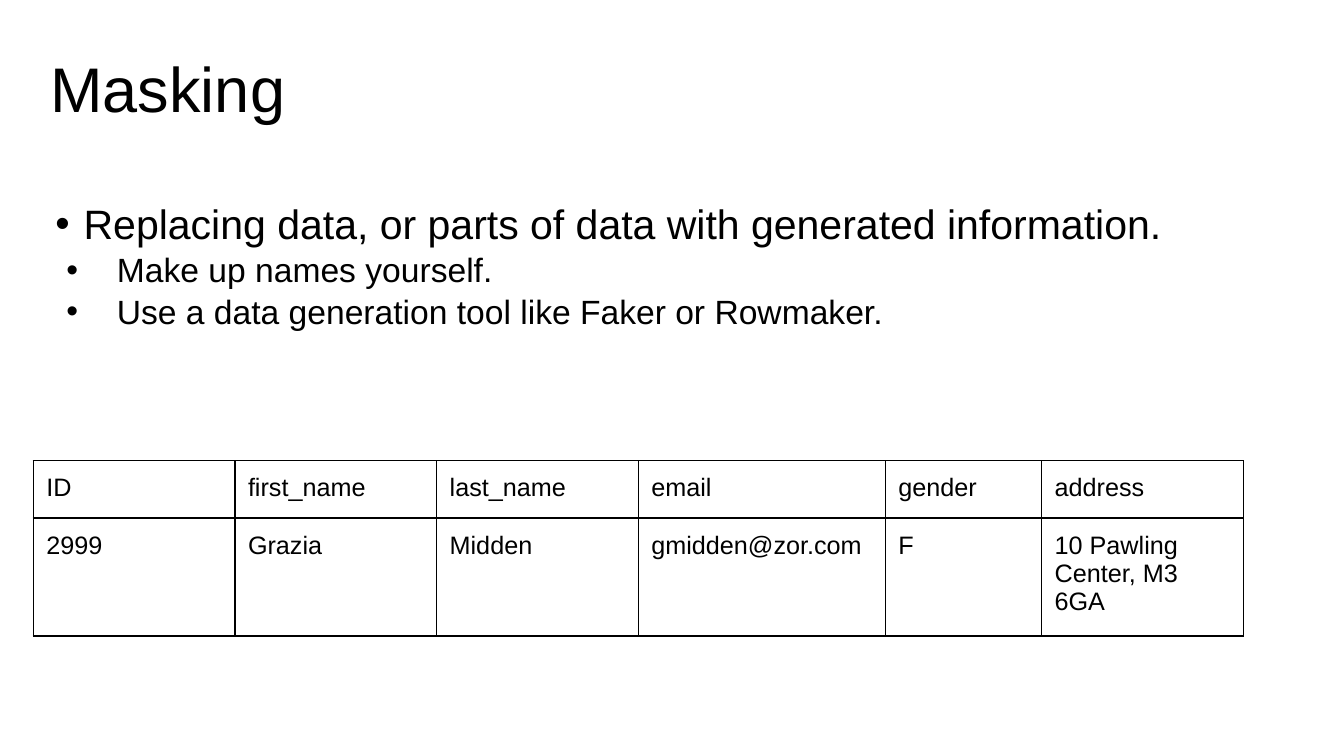
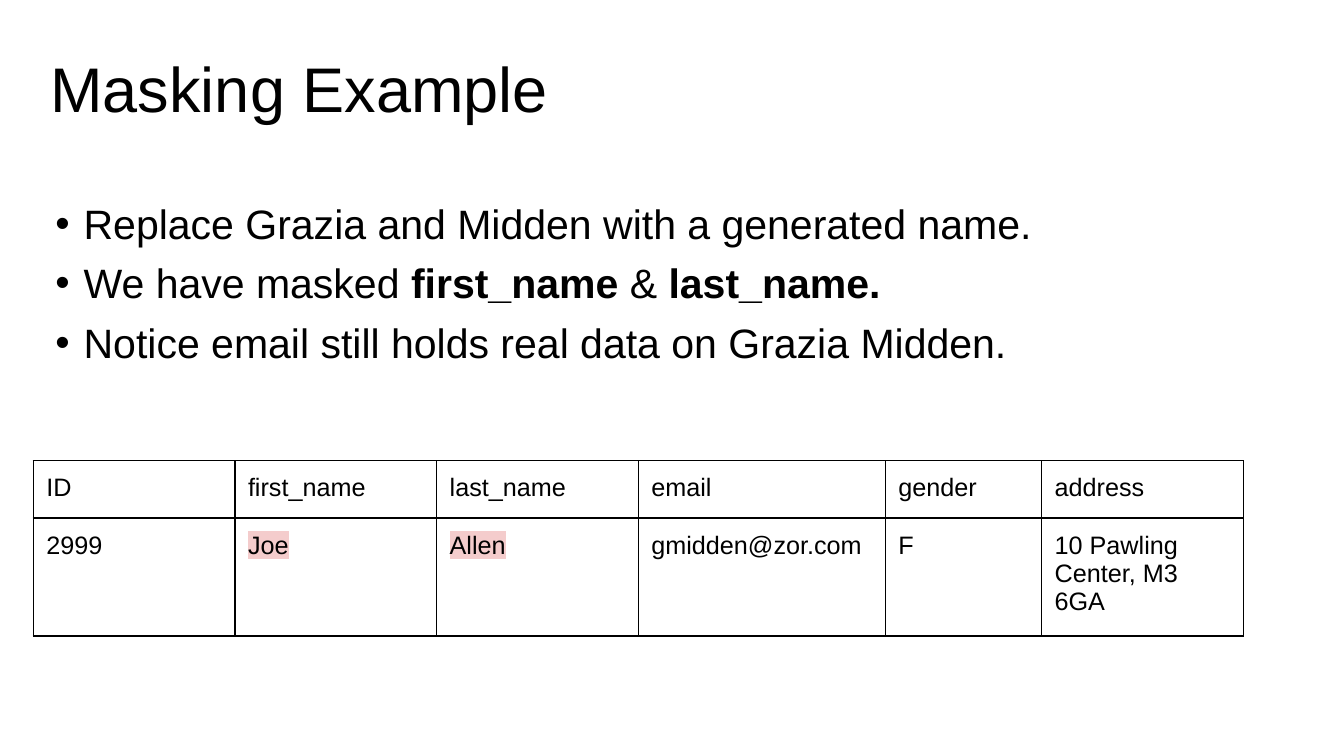
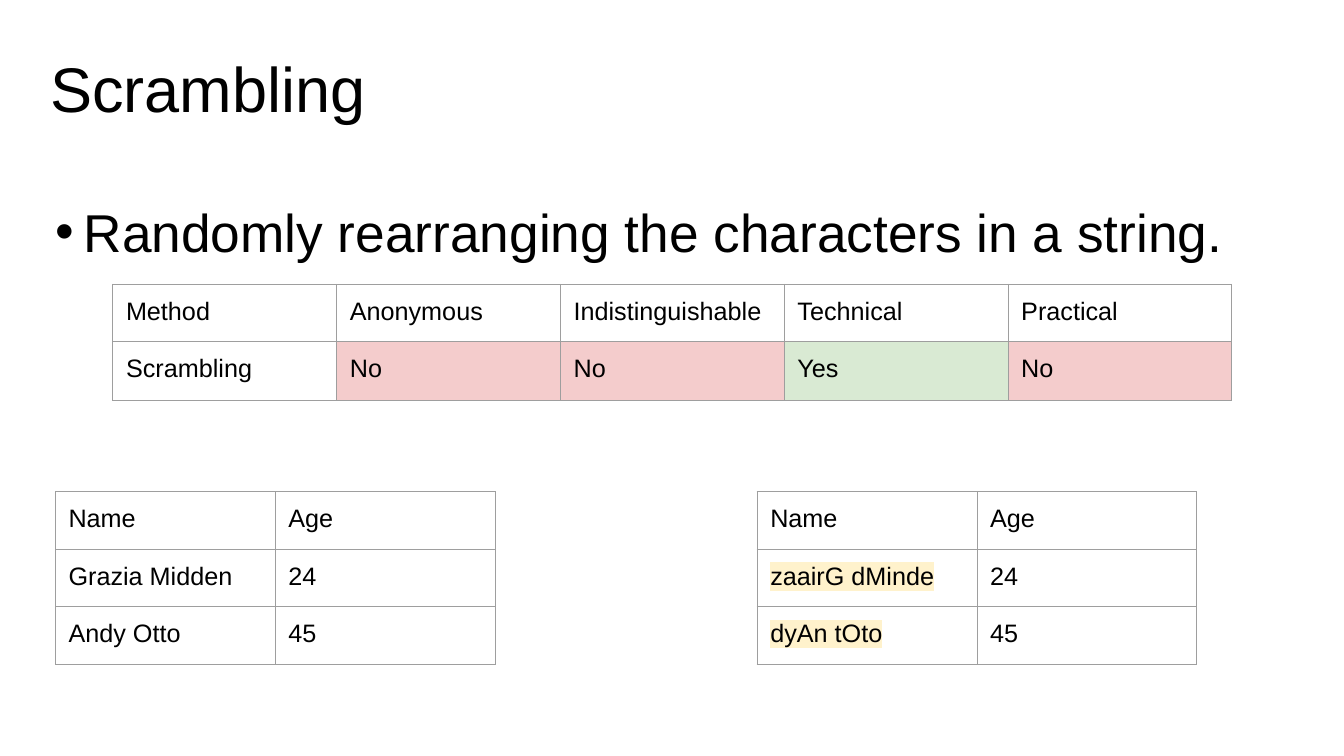
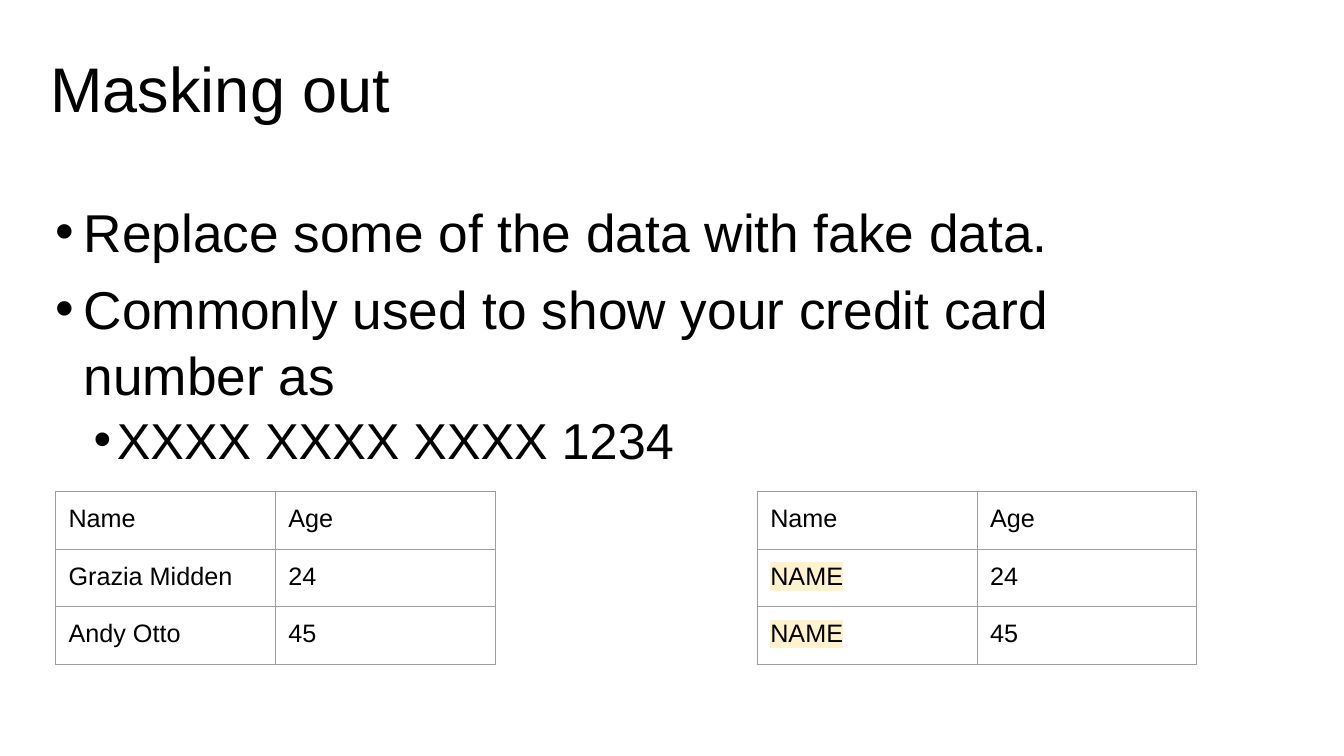
"""Build four slides on masking, scrambling and masking out data."""
from dataclasses import dataclass

import lxml.etree
import pptx
import pptx.dml.color
import pptx.enum.text
import pptx.oxml.ns
import pptx.util

Inches = pptx.util.Inches
Pt = pptx.util.Pt
qn = pptx.oxml.ns.qn


@dataclass(frozen=True)
class Theme:
    font: str = "Arial"
    ink: str = "000000"
    grid: str = "9E9E9E"
    red: str = "F4CCCC"
    green: str = "D9EAD3"
    yellow: str = "FFF2CC"
    title_size: float = 45
    large_size: float = 38
    large_sub_size: float = 36
    body_size: float = 29.3
    sub_size: float = 24
    cell_size: float = 18
    line_spacing: float = 1.04
    space_before: float = 0.2
    inset: float = 0.13


@dataclass(frozen=True)
class Span:
    text: str
    bold: bool = False
    highlight: str = ""


@dataclass(frozen=True)
class Shaded:
    text: str
    fill: str


@dataclass(frozen=True)
class Bullet:
    spans: tuple
    size: float
    hanging: float
    sub: bool = False


THEME = Theme()


def rgb(value):
    return pptx.dml.color.RGBColor.from_string(value)


class SlideWriter:
    def __init__(self, deck, theme):
        self.deck = deck
        self.theme = theme
        self.slide = None

    def start(self, title):
        self.slide = self.deck.slides.add_slide(self.deck.slide_layouts[6])
        frame = self.text_box(0.37, 0.29, 12, 1.25, 0.2)
        self.add_span(frame.paragraphs[0], Span(title), self.theme.title_size)

    def text_box(self, left, top, width, height, top_inset):
        box = self.slide.shapes.add_textbox(
            Inches(left), Inches(top), Inches(width), Inches(height))
        frame = box.text_frame
        frame.word_wrap = True
        frame.auto_size = pptx.enum.text.MSO_AUTO_SIZE.NONE
        self.set_margins(frame)
        frame.margin_top = Inches(top_inset)
        return frame

    def set_margins(self, holder):
        inset = Inches(self.theme.inset)
        holder.margin_left = holder.margin_right = inset
        holder.margin_top = holder.margin_bottom = inset

    def add_span(self, para, span, size):
        run = para.add_run()
        run.text = span.text
        font = run.font
        font.name = self.theme.font
        font.size = Pt(size)
        font.bold = span.bold
        font.color.rgb = rgb(self.theme.ink)
        if span.highlight:
            properties = run._r.get_or_add_rPr()
            highlight = lxml.etree.Element(qn("a:highlight"))
            color = lxml.etree.SubElement(highlight, qn("a:srgbClr"))
            color.set("val", span.highlight)
            properties.find(qn("a:solidFill")).addnext(highlight)

    def bullets(self, *items):
        frame = self.text_box(0.42, 1.8, 12, 5.62, 0.15)
        for index, item in enumerate(items):
            para = frame.add_paragraph() if index else frame.paragraphs[0]
            para.line_spacing = self.theme.line_spacing
            if index and not item.sub:
                para.space_before = Pt(round(item.size * self.theme.space_before, 1))
            para.level = int(item.sub)
            properties = para._p.get_or_add_pPr()
            properties.set("marL", str(Inches(0.61 if item.sub else 0.28)))
            properties.set("indent", str(-Inches(item.hanging)))
            lxml.etree.SubElement(properties, qn("a:buFont")).set("typeface", self.theme.font)
            lxml.etree.SubElement(properties, qn("a:buChar")).set("char", "•")
            for span in item.spans:
                self.add_span(para, span, item.size)

    def table(self, left, top, widths, heights, rows, line_color, line_width):
        frame = self.slide.shapes.add_table(
            len(heights), len(widths), Inches(left), Inches(top),
            Inches(sum(widths)), Inches(sum(heights)))
        table = frame.table
        table.first_row = table.horz_banding = False
        for column, width in zip(table.columns, widths):
            column.width = Inches(width)
        for row, height, values in zip(table.rows, heights, rows):
            row.height = Inches(height)
            for cell, value in zip(row.cells, values):
                self.fill_cell(cell, value)
                self.cell_borders(cell, line_color, line_width)

    def fill_cell(self, cell, value):
        self.set_margins(cell)
        if isinstance(value, Shaded):
            cell.fill.solid()
            cell.fill.fore_color.rgb = rgb(value.fill)
        else:
            cell.fill.background()
        span = value if isinstance(value, Span) else Span(getattr(value, "text", value))
        self.add_span(cell.text_frame.paragraphs[0], span, self.theme.cell_size)

    def cell_borders(self, cell, color, width):
        properties = cell._tc.get_or_add_tcPr()
        for index, side in enumerate(("lnL", "lnR", "lnT", "lnB")):
            line = lxml.etree.Element(qn("a:" + side), w=str(Pt(width)))
            fill = lxml.etree.SubElement(line, qn("a:solidFill"))
            lxml.etree.SubElement(fill, qn("a:srgbClr")).set("val", color)
            properties.insert(index, line)

    def person_table(self, first_name, last_name):
        header = ("ID", "first_name", "last_name", "email", "gender", "address")
        person = ("2999", first_name, last_name, "gmidden@zor.com", "F",
                  "10 Pawling Center, M3 6GA")
        self.table(0.33, 4.57, (2, 2, 2, 2.45, 1.55, 2), (0.57, 1.17),
                   (header, person), self.theme.ink, 1)

    def age_tables(self, *changed_names):
        changed = [Span(name, highlight=self.theme.yellow) for name in changed_names]
        for left, names in ((0.55, ("Grazia Midden", "Andy Otto")), (7.51, changed)):
            rows = [("Name", "Age"), *zip(names, ("24", "45"))]
            self.table(left, 4.88, (2.18,) * 2, (0.57,) * 3, rows, self.theme.grid, 0.75)

    def method_table(self, method, *answers):
        header = ("Method", "Anonymous", "Indistinguishable", "Technical", "Practical")
        fills = {"Yes": self.theme.green, "No": self.theme.red}
        ratings = [Shaded(answer, fills[answer]) for answer in answers]
        self.table(1.12, 2.82, (2.22,) * 5, (0.57, 0.58),
                   (header, (method, *ratings)), self.theme.grid, 0.75)


def point(*spans):
    return Bullet(spans, THEME.body_size, 0.54)


def sub_point(text):
    return Bullet((Span(text),), THEME.sub_size, 0.5, True)


def large_point(text):
    return Bullet((Span(text),), THEME.large_size, 0.28)


def main():
    deck = pptx.Presentation()
    deck.slide_width = Inches(13.33)
    deck.slide_height = Inches(7.5)
    writer = SlideWriter(deck, THEME)

    writer.start("Masking")
    writer.bullets(
        point(Span("Replacing data, or parts of data with generated information.")),
        sub_point("Make up names yourself."),
        sub_point("Use a data generation tool like Faker or Rowmaker."))
    writer.person_table("Grazia", "Midden")

    writer.start("Masking Example")
    writer.bullets(
        point(Span("Replace Grazia and Midden with a generated name.")),
        point(Span("We have masked "), Span("first_name", bold=True),
              Span(" & "), Span("last_name.", bold=True)),
        point(Span("Notice email still holds real data on Grazia Midden.")))
    writer.person_table(Span("Joe", highlight=THEME.red), Span("Allen", highlight=THEME.red))

    writer.start("Scrambling")
    writer.bullets(large_point("Randomly rearranging the characters in a string."))
    writer.age_tables("zaairG dMinde", "dyAn tOto")
    writer.method_table("Scrambling", "No", "No", "Yes", "No")

    writer.start("Masking out")
    writer.bullets(
        large_point("Replace some of the data with fake data."),
        large_point("Commonly used to show your credit card number as"),
        Bullet((Span("XXXX XXXX XXXX 1234"),), THEME.large_sub_size, 0.23, True))
    writer.age_tables("NAME", "NAME")

    deck.save("out.pptx")


if __name__ == "__main__":
    main()
